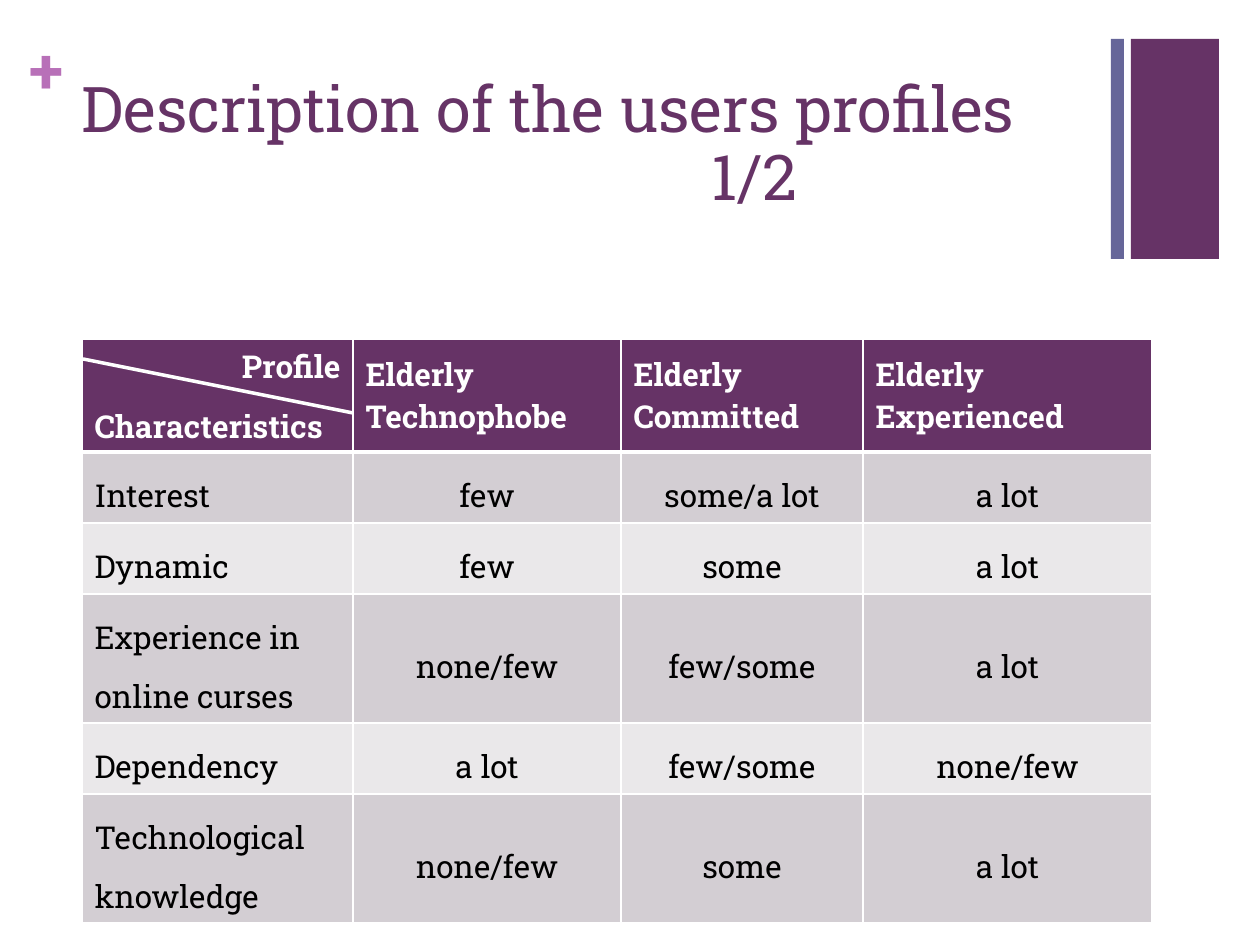
import pptx
import pptx.util
import pptx.dml.color
import pptx.enum.shapes
import pptx.enum.text
import pptx.oxml
import pptx.oxml.ns
from lxml import etree

# Content
TITLE = ["Description of the users profiles", "1/2"]
CORNER = ["Profile", "Characteristics"]
PROFILES = ["Elderly Technophobe", "Elderly Committed", "Elderly Experienced"]
RATINGS = [
    ("Interest", "few", "some/a lot", "a lot"),
    ("Dynamic", "few", "some", "a lot"),
    ("Experience in online curses", "none/few", "few/some", "a lot"),
    ("Dependency", "a lot", "few/some", "none/few"),
    ("Technological knowledge", "none/few", "some", "a lot"),
]
COLORS = {"plum": "663366", "slate": "666699", "orchid": "B870B8", "white": "FFFFFF",
          "black": "000000", "odd": "D3CED3", "even": "EAE8EA"}
FONT = "Roboto Slab"

# Layout in pixels
TABLE_LEFT, TABLE_TOP = 82, 339
COLS = [271, 268, 242, 289]
ROWS = [113, 71, 71, 129, 71, 129]
BARS = [(1131, 39, 88, 220, "plum"), (1111, 39, 13, 220, "slate")]

ALIGN = pptx.enum.text.PP_ALIGN
ANCHOR = pptx.enum.text.MSO_ANCHOR


def px(n):
    return pptx.util.Emu(round(n * 914400 / 126))


def rgb(name):
    return pptx.dml.color.RGBColor.from_string(COLORS[name])


def write(tf, text, size=18, color="black", bold=False, align=ALIGN.LEFT,
          spacing=1.0, before=0, new=False):
    p = tf.add_paragraph() if new else tf.paragraphs[0]
    p.alignment, p.line_spacing = align, spacing
    p.space_before = pptx.util.Pt(before)
    r = p.add_run()
    r.text = text
    r.font.name, r.font.size, r.font.bold = FONT, pptx.util.Pt(size), bold
    r.font.color.rgb = rgb(color)
    return p


def style_cell(cell, fill, bottom=1):
    # Borders come before the fill in the cell properties
    tcPr = cell._tc.get_or_add_tcPr()
    for side, width in (("L", 1), ("R", 1), ("T", 1), ("B", bottom)):
        ln = etree.SubElement(tcPr, pptx.oxml.ns.qn("a:ln" + side), w=str(pptx.util.Pt(width)))
        solid = etree.SubElement(ln, pptx.oxml.ns.qn("a:solidFill"))
        etree.SubElement(solid, pptx.oxml.ns.qn("a:srgbClr"), val=COLORS["white"])
    cell.fill.solid()
    cell.fill.fore_color.rgb = rgb(fill)


prs = pptx.Presentation()
prs.slide_width, prs.slide_height = px(1260), px(945)
s = prs.slides.add_slide(prs.slide_layouts[5])

# Corner bars and plus sign
for x, y, w, h, color in BARS:
    sp = s.shapes.add_shape(pptx.enum.shapes.MSO_SHAPE.RECTANGLE, px(x), px(y), px(w), px(h))
    sp.shadow.inherit = False
    sp.fill.solid()
    sp.fill.fore_color.rgb = rgb(color)
    sp.line.fill.background()
tf = s.shapes.add_textbox(px(30), px(31), px(37), px(77)).text_frame
tf.margin_left = tf.margin_right = tf.margin_top = tf.margin_bottom = 0
write(tf, "+", size=36, color="orchid", bold=True)

# Title, with the page count indented on its second line
title = s.shapes.title
title.left, title.top, title.width, title.height = px(69), px(67), px(1041), px(154)
tf = title.text_frame
tf.word_wrap = True
tf.auto_size = pptx.enum.text.MSO_AUTO_SIZE.NONE
tf.vertical_anchor = ANCHOR.TOP
tf.margin_top = px(11)
for i, line in enumerate(TITLE):
    p = write(tf, line, size=36, color="plum", spacing=0.9, new=i > 0)
p._p.get_or_add_pPr().set("marL", str(px(630)))

# Table
table = s.shapes.add_table(len(ROWS), len(COLS), px(TABLE_LEFT), px(TABLE_TOP),
                           px(sum(COLS)), px(sum(ROWS))).table
for col, w in zip(table.columns, COLS):
    col.width = px(w)
for row, h in zip(table.rows, ROWS):
    row.height = px(h)

corner = table.cell(0, 0)
style_cell(corner, "plum", bottom=3)
write(corner.text_frame, CORNER[0], color="white", bold=True, align=ALIGN.RIGHT)
write(corner.text_frame, CORNER[1], color="white", bold=True, before=10.5, new=True)
for c, profile in enumerate(PROFILES, 1):
    cell = table.cell(0, c)
    style_cell(cell, "plum", bottom=3)
    cell.vertical_anchor = ANCHOR.MIDDLE
    write(cell.text_frame, profile, color="white", bold=True)

for r, values in enumerate(RATINGS, 1):
    for c, value in enumerate(values):
        cell = table.cell(r, c)
        style_cell(cell, "odd" if r % 2 else "even")
        cell.vertical_anchor = ANCHOR.MIDDLE if c else ANCHOR.TOP
        write(cell.text_frame, value, align=ALIGN.CENTER if c else ALIGN.LEFT, spacing=1.4)

# Diagonal in the corner cell
line = s.shapes.add_connector(pptx.enum.shapes.MSO_CONNECTOR.STRAIGHT,
                              px(83), px(359), px(353), px(413))
line.line.color.rgb = rgb("white")
line.line.width = pptx.util.Pt(2)
etree.SubElement(line._element.spPr, pptx.oxml.ns.qn("a:effectLst"))

prs.save("out.pptx")
